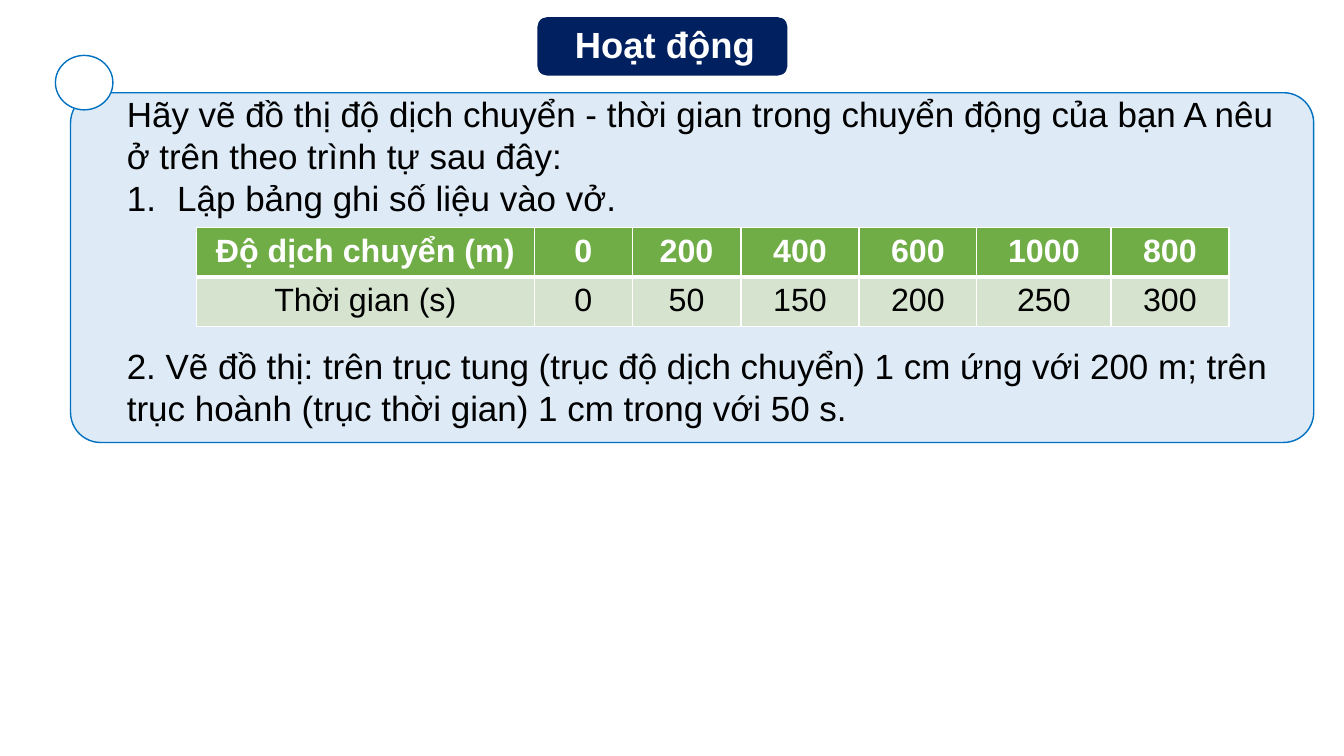
from lxml.etree import SubElement
from pptx import Presentation
from pptx.dml.color import RGBColor
from pptx.enum.shapes import MSO_SHAPE as Preset
from pptx.enum.text import MSO_ANCHOR as Anchor, PP_ALIGN as Align
from pptx.oxml.ns import qn
from pptx.util import Inches, Pt

TITLE = "Hoạt động"
INTRO = "Hãy vẽ đồ thị độ dịch chuyển - thời gian trong chuyển động của bạn A nêu ở trên theo trình tự sau đây:"
STEP_ONE = "Lập bảng ghi số liệu vào vở."
STEP_TWO = ("2. Vẽ đồ thị: trên trục tung (trục độ dịch chuyển) 1 cm ứng với 200 m; "
            "trên trục hoành (trục thời gian) 1 cm trong với 50 s.")
ROWS = [
    ("Độ dịch chuyển (m)", "0", "200", "400", "600", "1000", "800"),
    ("Thời gian (s)", "0", "50", "150", "200", "250", "300"),
]
COLUMN_WIDTHS = (3.35, 0.97, 1.08, 1.17, 1.17, 1.33, 1.17)
ROW_HEIGHT = 0.49
ROW_STYLES = [("70AD47", "FFFFFF", True), ("D5E3CF", "000000", False)]
NAVY, BLUE, PALE_BLUE, WHITE, BLACK = "002060", "0070C0", "DEEBF7", "FFFFFF", "000000"


def color(code):
    return RGBColor.from_string(code)


def set_font(para, size, code, bold=False):
    font = para.font
    font.name, font.size, font.bold = "Arial", Pt(size), bold
    font.color.rgb = color(code)


def add_preset(page, preset, place, fill, line=None):
    shape = page.shapes.add_shape(preset, *map(Inches, place))
    shape.shadow.inherit = False
    shape.fill.solid()
    shape.fill.fore_color.rgb = color(fill)
    if line:
        shape.line.color.rgb = color(line)
        shape.line.width = Pt(1)
    else:
        shape.line.fill.background()
    return shape


def add_title(page):
    pill = add_preset(page, Preset.ROUNDED_RECTANGLE, (5.33, 0.17, 2.48, 0.58), NAVY)
    title = page.shapes.title
    pill.element.addnext(title.element)
    title.left, title.top, title.width, title.height = map(Inches, (5.42, 0.2, 2.35, 0.52))
    frame = title.text_frame
    frame.text = TITLE
    frame.vertical_anchor = Anchor.MIDDLE
    frame.margin_left = frame.margin_right = Inches(0.13)
    frame.margin_top = frame.margin_bottom = Inches(0.07)
    para = frame.paragraphs[0]
    para.alignment = Align.CENTER
    para.line_spacing = 0.9
    set_font(para, 26, WHITE, True)


def add_instructions(page):
    box = page.shapes.add_textbox(*map(Inches, (1.16, 0.87, 11.64, 3.47)))
    frame = box.text_frame
    frame.word_wrap = True
    frame.text = "\n".join((INTRO, STEP_ONE, STEP_TWO))
    intro, step_one, step_two = frame.paragraphs
    props = step_one._p.get_or_add_pPr()
    props.set("marL", str(Inches(0.5)))
    props.set("indent", str(-Inches(0.5)))
    SubElement(props, qn("a:buFont"), typeface="+mj-lt")
    SubElement(props, qn("a:buAutoNum"), type="arabicPeriod")
    step_two.space_before = Pt(90)
    for para in (intro, step_one, step_two):
        para.line_spacing = Pt(30)
        set_font(para, 25, BLACK)


def add_border(cell, side, width):
    line = SubElement(cell._tc.get_or_add_tcPr(), qn(f"a:{side}"), w=str(Pt(width)))
    fill = SubElement(line, qn("a:solidFill"))
    SubElement(fill, qn("a:srgbClr"), val=WHITE)


def add_data_table(page):
    place = (1.95, 2.26, sum(COLUMN_WIDTHS), ROW_HEIGHT * len(ROWS))
    table = page.shapes.add_table(len(ROWS), len(COLUMN_WIDTHS), *map(Inches, place)).table
    for column, width in zip(table.columns, COLUMN_WIDTHS):
        column.width = Inches(width)
    for row, (values, (fill, ink, bold)) in enumerate(zip(ROWS, ROW_STYLES)):
        table.rows[row].height = Inches(ROW_HEIGHT)
        for col, value in enumerate(values):
            cell = table.cell(row, col)
            cell.text = value
            para = cell.text_frame.paragraphs[0]
            para.alignment = Align.CENTER
            set_font(para, 23, ink, bold)
            header_edge = {(0, "lnB"): 3, (1, "lnT"): 3}
            for side in ("lnL", "lnR", "lnT", "lnB"):
                add_border(cell, side, header_edge.get((row, side), 1))
            cell.fill.solid()
            cell.fill.fore_color.rgb = color(fill)


def main():
    deck = Presentation()
    deck.slide_width, deck.slide_height = Inches(13.33), Inches(7.5)
    page = deck.slides.add_slide(deck.slide_layouts[5])
    add_title(page)
    panel = add_preset(page, Preset.ROUNDED_RECTANGLE, (0.7, 0.92, 12.33, 3.47), PALE_BLUE, BLUE)
    panel.adjustments[0] = 0.086
    add_instructions(page)
    add_preset(page, Preset.OVAL, (0.55, 0.55, 0.57, 0.54), WHITE, BLUE)
    add_data_table(page)
    deck.save("out.pptx")


if __name__ == "__main__":
    main()
